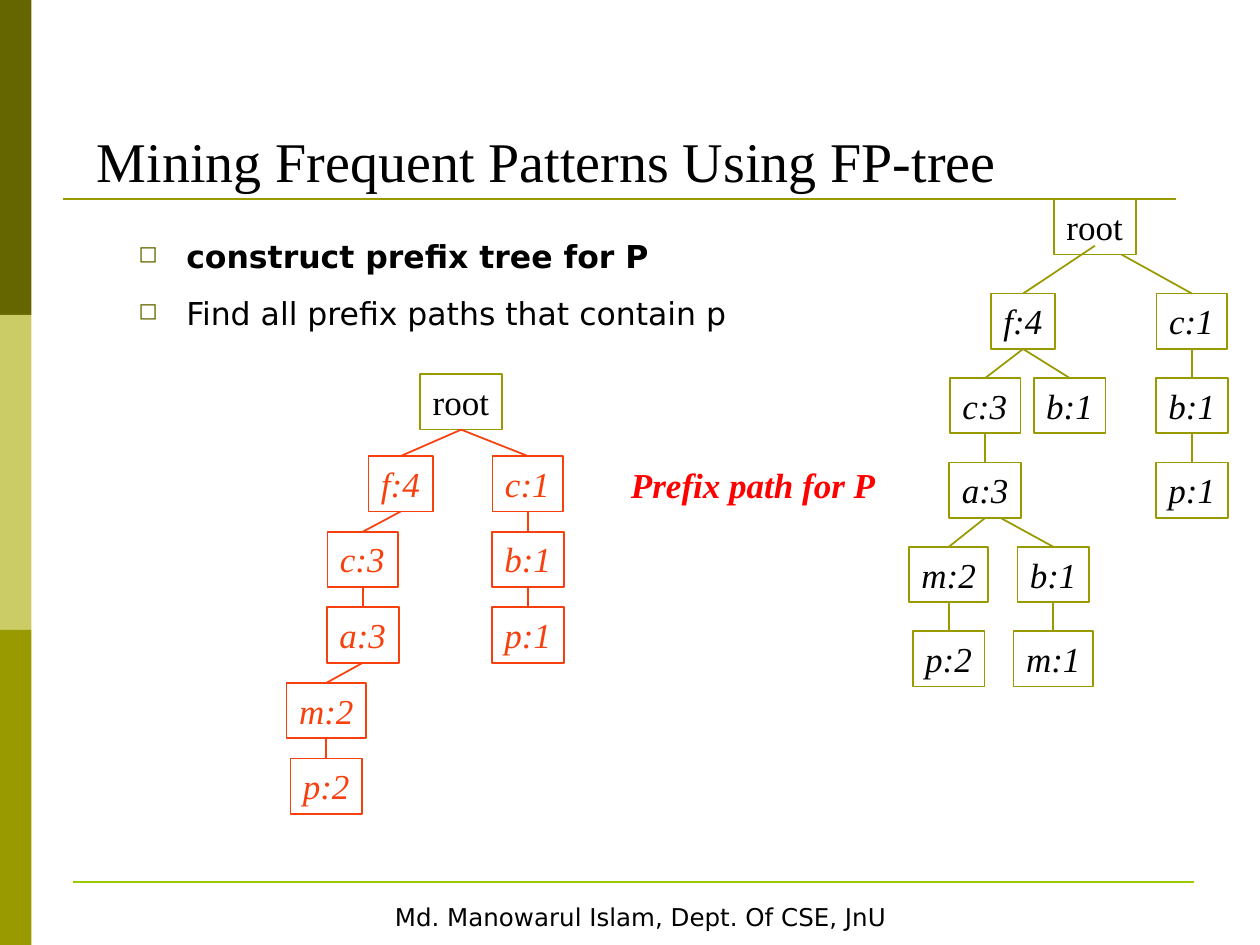
from lxml import etree
from pptx import Presentation
from pptx.dml.color import RGBColor
from pptx.enum.shapes import MSO_CONNECTOR as Link, MSO_SHAPE as Preset
from pptx.enum.text import MSO_ANCHOR as Anchor, MSO_AUTO_SIZE as AutoSize, PP_ALIGN as Align
from pptx.oxml.ns import qn
from pptx.util import Inches, Pt

COLORS = {
    "dark": "666600",
    "light": "CCCC66",
    "olive": "999900",
    "green": "98CC00",
    "path": "F8400E",
    "red": "FF0000",
    "black": "000000",
    "white": "FFFFFF",
}
SERIF, SANS = "Times New Roman", "DejaVu Sans"
NODE_WIDTHS = {"f": 0.51, "c": 0.56, "a": 0.57, "b": 0.57, "p": 0.57, "m": 0.63, "r": 0.65}
NODE_HEIGHT = 0.44

PREFIX_TREE = {
    "root": (3.66, 0, None),
    "f:4": (3.18, 1, "root"),
    "c:3": (2.88, 2, "f:4"),
    "a:3": (2.88, 3, "c:3"),
    "m:2": (2.59, 4, "a:3"),
    "p:2": (2.59, 5, "m:2"),
    "c:1": (4.19, 1, "root"),
    "b:1": (4.19, 2, "c:1"),
    "p:1": (4.19, 3, "b:1"),
}
FULL_TREE = {
    "root": (8.69, 0, None),
    "f:4": (8.12, 1, "root"),
    "c:3": (7.82, 2, "f:4"),
    "a:3": (7.82, 3, "c:3"),
    "m:2": (7.53, 4, "a:3"),
    "p:2": (7.53, 5, "m:2"),
    "b:1 low": (8.36, 4, "a:3"),
    "m:1": (8.36, 5, "b:1 low"),
    "b:1 mid": (8.49, 2, "f:4"),
    "c:1": (9.46, 1, "root"),
    "b:1": (9.46, 2, "c:1"),
    "p:1": (9.46, 3, "b:1"),
}
FULL_TREE_SHIFTS = {
    ("root", "f:4"): (0, -0.07),
    ("root", "c:1"): (0.21, 0),
    ("a:3", "b:1 low"): (0.12, 0),
}


def rgb(name):
    return RGBColor.from_string(COLORS[name])


def style(para, size, face, color, bold=False, italic=False):
    for span in para.runs:
        font = span.font
        font.size, font.name = Pt(size), face
        font.bold, font.italic = bold, italic
        font.color.rgb = rgb(color)


def add_box(shapes, left, top, width, height, fill=None, line=None, weight=1):
    box = shapes.add_shape(Preset.RECTANGLE, *map(Inches, (left, top, width, height)))
    box.shadow.inherit = False
    if fill:
        box.fill.solid()
        box.fill.fore_color.rgb = rgb(fill)
    else:
        box.fill.background()
    if line:
        box.line.color.rgb = rgb(line)
        box.line.width = Pt(weight)
    else:
        box.line.fill.background()
    return box


def add_line(shapes, start, end, color, weight):
    line = shapes.add_connector(Link.STRAIGHT, *map(Inches, (*start, *end)))
    line.line.color.rgb = rgb(color)
    line.line.width = Pt(weight)
    etree.SubElement(line._element.spPr, qn("a:effectLst"))
    return line


def add_text_box(page, left, top, width, height, text):
    box = page.shapes.add_textbox(*map(Inches, (left, top, width, height)))
    box.text_frame.word_wrap = True
    box.text_frame.text = text
    return box.text_frame


def add_side_bar(page, left, top, width, height):
    band = height / 3
    for index, color in enumerate(("dark", "light", "olive")):
        add_box(page.shapes, left, top + index * band, width, band, fill=color)


def add_title(page, left, top, width, height):
    add_line(page.shapes, (0.5, 1.58), (9.33, 1.58), "olive", 1.5)
    frame = add_text_box(page, left, top, width, height, "Mining Frequent Patterns Using FP-tree")
    frame.vertical_anchor = Anchor.BOTTOM
    para = frame.paragraphs[0]
    para.line_spacing = 0.9
    style(para, 32, SERIF, "black")


def add_bullet(para):
    props = para._p.get_or_add_pPr()
    props.set("marL", str(Inches(0.38)))
    props.set("indent", str(Inches(-0.38)))
    color = etree.SubElement(props, qn("a:buClr"))
    etree.SubElement(color, qn("a:srgbClr"), val=COLORS["dark"])
    etree.SubElement(props, qn("a:buSzPct"), val="75000")
    etree.SubElement(props, qn("a:buChar"), char="◻")


def add_steps(page, left, top, width, height):
    steps = "construct prefix tree for P\nFind all prefix paths that contain p"
    frame = add_text_box(page, left, top, width, height, steps)
    for index, para in enumerate(frame.paragraphs):
        add_bullet(para)
        style(para, 18, SANS, "black", bold=index == 0)
    frame.paragraphs[1].space_before = Pt(11.2)
    frame.paragraphs[1].alignment = Align.JUSTIFY


def add_path_label(page, left, top, width, height):
    frame = add_text_box(page, left, top, width, height, "Prefix path for P")
    style(frame.paragraphs[0], 20, SERIF, "red", bold=True, italic=True)


def add_node(group, label, center, top, line, color):
    width = NODE_WIDTHS[label[0]]
    node = add_box(group.shapes, center - width / 2, top, width, NODE_HEIGHT, line=line)
    frame = node.text_frame
    frame.word_wrap = False
    frame.auto_size = AutoSize.NONE
    frame.margin_right = Inches(0)
    frame.vertical_anchor = Anchor.TOP
    frame.text = label
    para = frame.paragraphs[0]
    para.alignment = Align.LEFT
    style(para, 20, SERIF, color, italic=label != "root")
    return node


def add_tree(page, tree, root_top, first_top, step, line, color, shifts):
    group = page.shapes.add_group_shape()
    nodes, tops = {}, {}
    for name, (center, level, parent) in tree.items():
        top = first_top + (level - 1) * step if level else root_top
        tops[name] = top
        look = (line, color) if level else ("olive", "black")
        nodes[name] = add_node(group, name.split()[0], center, top, *look)
        if parent is None:
            continue
        across, down = shifts.get((parent, name), (0, 0))
        start = (tree[parent][0] + across, tops[parent] + NODE_HEIGHT + down)
        branch = add_line(group.shapes, start, (center, top), line, 1)
        if (parent, name) not in shifts:
            branch.begin_connect(nodes[parent], 2)
        branch.end_connect(nodes[name], 0)


def add_footer(page, left, top, width, height):
    add_line(page.shapes, (0.58, 7), (9.48, 7), "green", 1.5)
    box = add_box(page.shapes, left, top, width, height, "white", "white", 2)
    frame = box.text_frame
    frame.word_wrap = False
    frame.vertical_anchor = Anchor.MIDDLE
    frame.text = "Md. Manowarul Islam, Dept. Of CSE, JnU"
    frame.paragraphs[0].alignment = Align.CENTER
    style(frame.paragraphs[0], 14, SANS, "black")


def main():
    deck = Presentation()
    deck.slide_width, deck.slide_height = Inches(10), Inches(7.5)
    page = deck.slides.add_slide(deck.slide_layouts[6])
    add_side_bar(page, 0, 0, 0.25, 7.5)
    add_footer(page, 0.5, 7.1, 9.17, 0.35)
    add_title(page, 0.67, 0.42, 8.92, 1.17)
    add_steps(page, 1, 1.83, 8.61, 1.83)
    add_path_label(page, 4.91, 3.63, 4.17, 0.44)
    add_tree(page, PREFIX_TREE, 2.97, 3.62, 0.6, "path", "path", {})
    add_tree(page, FULL_TREE, 1.58, 2.33, 0.67, "olive", "black", FULL_TREE_SHIFTS)
    deck.save("out.pptx")


if __name__ == "__main__":
    main()
